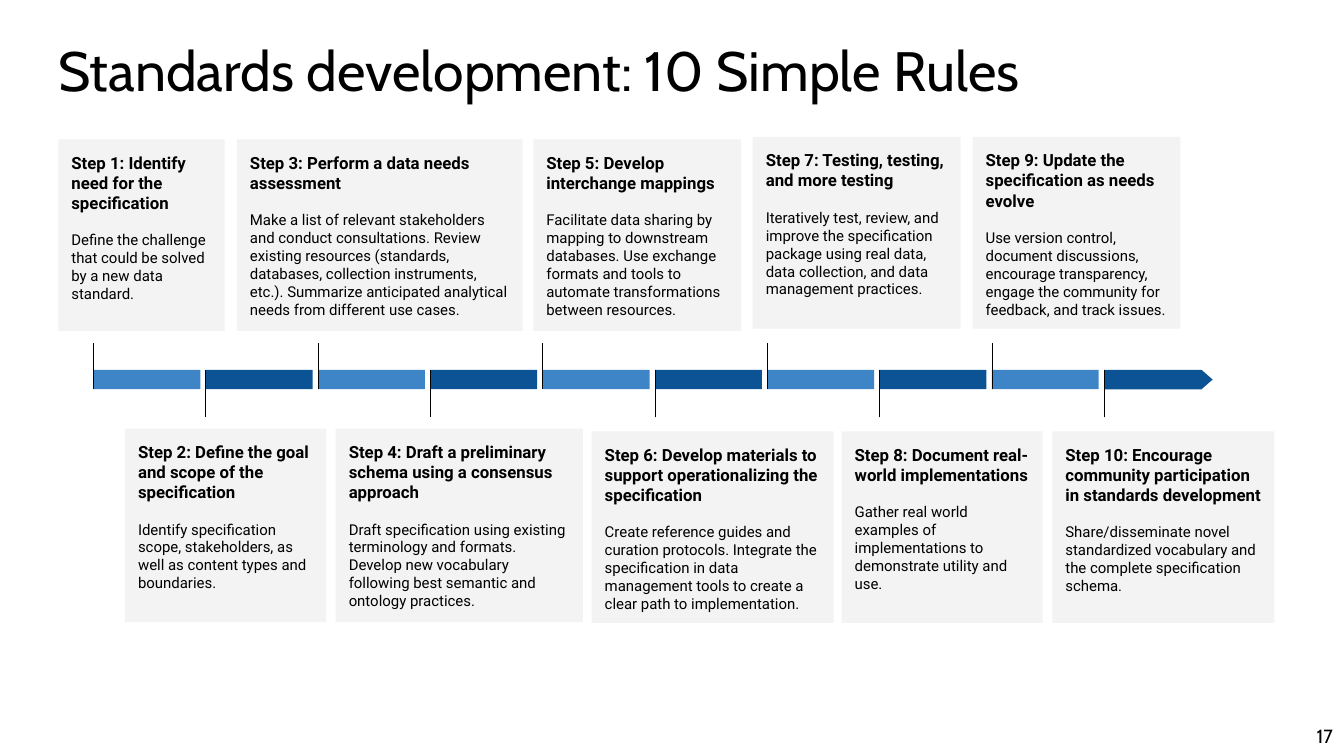
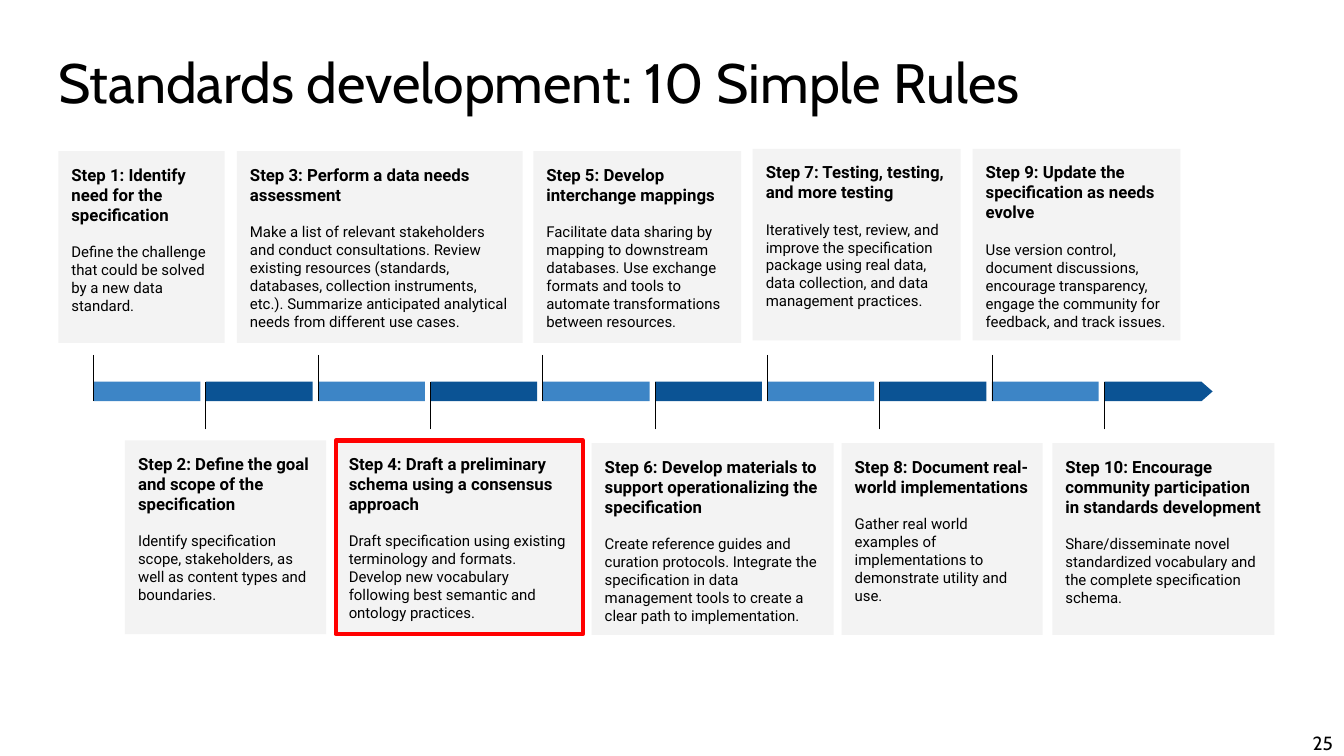
from dataclasses import dataclass

from lxml.etree import SubElement
from pptx import Presentation
from pptx.dml.color import RGBColor
from pptx.enum.shapes import MSO_CONNECTOR, MSO_SHAPE
from pptx.enum.text import MSO_ANCHOR, PP_ALIGN
from pptx.oxml.ns import qn
from pptx.util import Cm, Pt


@dataclass(frozen=True)
class Theme:
    ink: RGBColor = RGBColor.from_string("000000")
    card: RGBColor = RGBColor.from_string("F3F3F3")
    light_blue: RGBColor = RGBColor.from_string("3D85C6")
    dark_blue: RGBColor = RGBColor.from_string("0B5394")
    highlight: RGBColor = RGBColor.from_string("FF0000")
    title_font: str = "Cabin"
    body_font: str = "Roboto"
    title_size: float = 39.6
    heading_size: float = 12
    body_size: float = 10.7
    number_size: float = 13.6
    card_gap: float = 12.8


@dataclass(frozen=True)
class Step:
    left: float
    top: float
    width: float
    height: float
    heading: str
    detail: str


THEME = Theme()
TITLE = "Standards development: 10 Simple Rules"

# Cards in step order; lengths in cm
STEPS = [
    Step(1.47, 3.51, 4.19, 4.83, "Identify need for the specification",
         "Define the challenge that could be solved by a new data standard."),
    Step(3.15, 10.8, 5.07, 4.88, "Define the goal and scope of the specification",
         "Identify specification scope, stakeholders, as well as content types "
         "and boundaries."),
    Step(5.97, 3.51, 7.2, 4.83, "Perform a data needs assessment",
         "Make a list of relevant stakeholders and conduct consultations. Review "
         "existing resources (standards, databases, collection instruments, etc.). "
         "Summarize anticipated analytical needs from different use cases."),
    Step(8.46, 10.8, 6.23, 4.88, "Draft a preliminary schema using a consensus approach",
         "Draft specification using existing terminology and formats. Develop new "
         "vocabulary following best semantic and ontology practices."),
    Step(13.44, 3.51, 5.24, 4.83, "Develop interchange mappings",
         "Facilitate data sharing by mapping to downstream databases. Use exchange "
         "formats and tools to automate transformations between resources."),
    Step(14.91, 10.87, 6.1, 4.83,
         "Develop materials to support operationalizing the specification",
         "Create reference guides and curation protocols. Integrate the specification "
         "in data management tools to create a clear path to implementation."),
    Step(18.97, 3.45, 5.24, 4.83, "Testing, testing, and more testing",
         "Iteratively test, review, and improve the specification package using real "
         "data, data collection, and data management practices."),
    Step(21.21, 10.87, 5.07, 4.83, "Document real-world implementations",
         "Gather real world examples of implementations to demonstrate utility and use."),
    Step(24.51, 3.45, 5.24, 4.83, "Update the specification as needs evolve",
         "Use version control, document discussions, encourage transparency, engage "
         "the community for feedback, and track issues."),
    Step(26.52, 10.87, 5.6, 4.83,
         "Encourage community participation in standards development",
         "Share/disseminate novel standardized vocabulary and the complete "
         "specification schema."),
]

# Timeline geometry in cm
AXIS_LEFT, AXIS_TOP, AXIS_PITCH = 2.36, 9.32, 2.83
BAR_WIDTH, ARROW_WIDTH, BAR_HEIGHT = 2.69, 2.73, 0.49
TICK_ABOVE, TICK_BELOW = 8.64, 10.52


def box(left, top, width, height):
    return Cm(left), Cm(top), Cm(width), Cm(height)


def set_frame(frame, inset, anchor=MSO_ANCHOR.TOP):
    frame.word_wrap = True
    frame.vertical_anchor = anchor
    frame.margin_left = frame.margin_right = Cm(inset)
    frame.margin_top = frame.margin_bottom = Cm(inset)


def write(paragraph, text, font, size, bold=False, align=PP_ALIGN.LEFT):
    paragraph.text = text
    paragraph.alignment = align
    paragraph.font.name = font
    paragraph.font.size = Pt(size)
    paragraph.font.bold = bold
    paragraph.font.color.rgb = THEME.ink


def add_label(slide, place, text, size, inset, anchor=MSO_ANCHOR.TOP, align=PP_ALIGN.LEFT):
    frame = slide.shapes.add_textbox(*place).text_frame
    set_frame(frame, inset, anchor)
    paragraph = frame.paragraphs[0]
    write(paragraph, text, THEME.title_font, size, align=align)
    return paragraph


def add_filled(slide, preset, place, colour):
    shape = slide.shapes.add_shape(preset, *place)
    shape.shadow.inherit = False
    shape.fill.solid()
    shape.fill.fore_color.rgb = colour
    shape.line.fill.background()
    return shape


def add_card(slide, number, step, drop, highlighted):
    place = box(step.left, step.top + drop, step.width, step.height)
    card = add_filled(slide, MSO_SHAPE.RECTANGLE, place, THEME.card)
    if highlighted:
        card.line.color.rgb = THEME.highlight
        card.line.width = Pt(3)
    frame = card.text_frame
    set_frame(frame, 0.33)
    write(frame.paragraphs[0], f"Step {number}: {step.heading}",
          THEME.body_font, THEME.heading_size, bold=True)
    detail = frame.add_paragraph()
    write(detail, step.detail, THEME.body_font, THEME.body_size)
    detail.space_before = Pt(THEME.card_gap)


def add_tick(slide, x, start, end):
    tick = slide.shapes.add_connector(
        MSO_CONNECTOR.STRAIGHT, Cm(x), Cm(start), Cm(x), Cm(end))
    tick.line.color.rgb = THEME.ink
    tick.line.width = Pt(0.75)
    SubElement(tick._element.spPr, qn("a:effectLst"))


def add_segment(slide, number, drop):
    """Odd steps point up from a light bar, even ones down from a dark bar."""
    x, top = AXIS_LEFT + (number - 1) * AXIS_PITCH, AXIS_TOP + drop
    is_last, is_odd = number == len(STEPS), number % 2 == 1
    bar = add_filled(
        slide, MSO_SHAPE.PENTAGON if is_last else MSO_SHAPE.RECTANGLE,
        box(x, top, ARROW_WIDTH if is_last else BAR_WIDTH, BAR_HEIGHT),
        THEME.light_blue if is_odd else THEME.dark_blue)
    if is_last:
        bar.adjustments[0] = 0.57
    if is_odd:
        add_tick(slide, x, TICK_ABOVE + drop, top + BAR_HEIGHT)
    else:
        add_tick(slide, x, TICK_BELOW + drop, top)


def add_rules_slide(deck, page, page_top, drop=0, highlighted_step=None):
    slide = deck.slides.add_slide(deck.slide_layouts[6])
    # Title
    title = add_label(slide, box(1.14, 0.76 + drop, 31.55, 2.13), TITLE,
                      THEME.title_size, 0.33)
    title.line_spacing = 0.9
    # Timeline and step cards
    for number, step in enumerate(STEPS, start=1):
        add_segment(slide, number, drop)
        add_card(slide, number, step, drop, number == highlighted_step)
    # Page number
    add_label(slide, box(32.39, page_top, 1.45, 1.02), str(page),
              THEME.number_size, 0.25, MSO_ANCHOR.MIDDLE, PP_ALIGN.RIGHT)


def main():
    deck = Presentation()
    deck.slide_width, deck.slide_height = Cm(33.87), Cm(19.05)
    add_rules_slide(deck, page=17, page_top=18.03)
    add_rules_slide(deck, page=25, page_top=18.21, drop=0.3, highlighted_step=4)
    deck.save("out.pptx")


if __name__ == "__main__":
    main()
